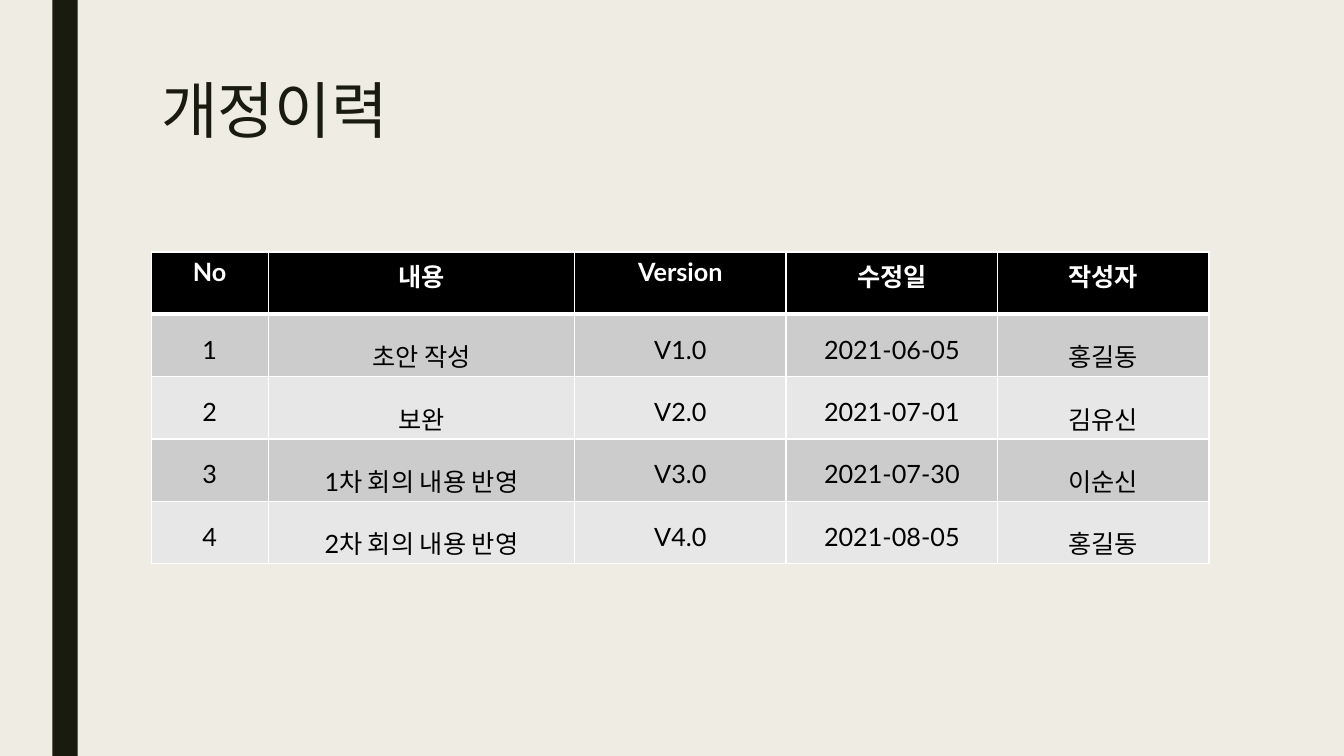
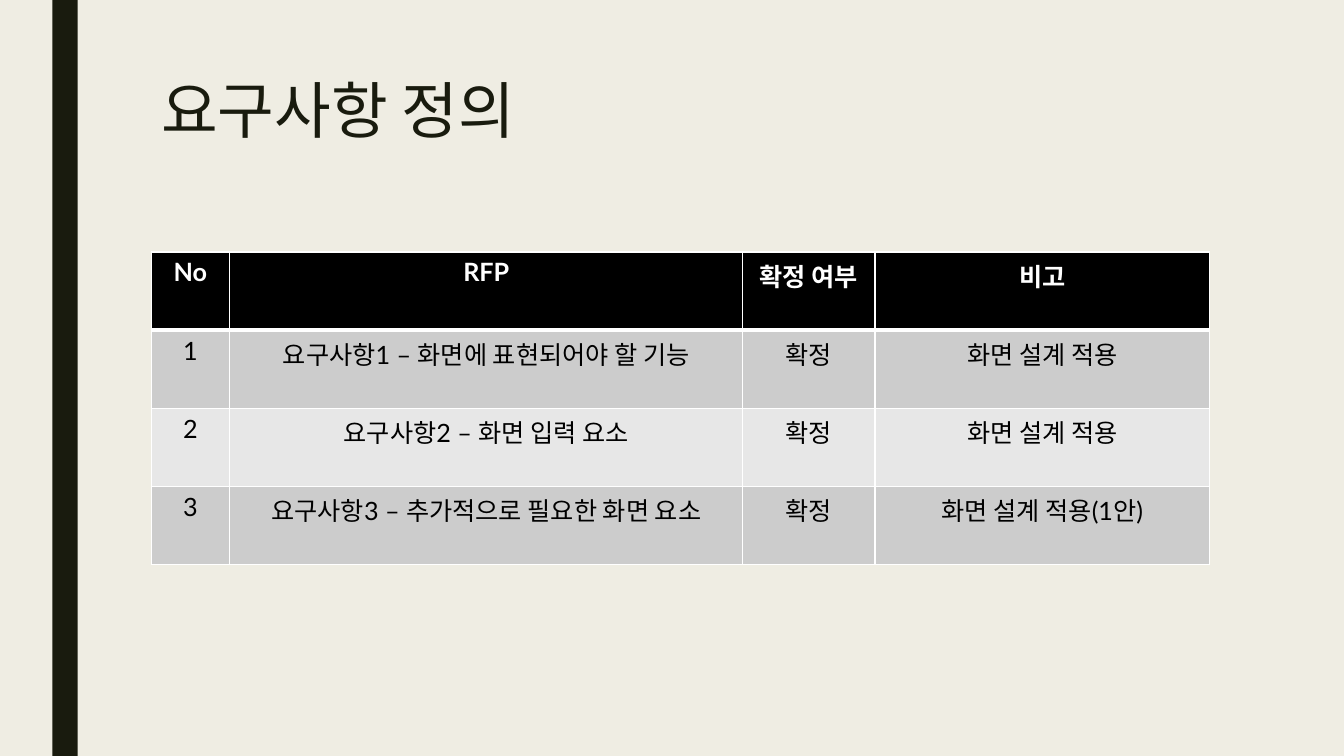
from dataclasses import dataclass

from lxml import etree
from pptx import Presentation
from pptx import slide as sl
from pptx import table as tb
from pptx import util as u
from pptx.dml import color
from pptx.enum import shapes, text
from pptx.oxml import ns
from pptx.text import text as tx

CREAM = color.RGBColor(0xEF, 0xED, 0xE3)
DARK_OLIVE = color.RGBColor(0x19, 0x1B, 0x0E)
BLACK = color.RGBColor(0x00, 0x00, 0x00)
WHITE = color.RGBColor(0xFF, 0xFF, 0xFF)
BAND_GREYS = (color.RGBColor(0xCC, 0xCC, 0xCC), color.RGBColor(0xE7, 0xE7, 0xE7))

FONT = "Lato"
SLIDE_WIDTH = u.Cm(33.87)
SLIDE_HEIGHT = u.Cm(19.05)
CONTENT_LEFT = u.Cm(3.81)
CONTENT_WIDTH = u.Cm(26.67)
THIN_RULE = u.Pt(1)
HEADER_RULE = u.Pt(3)


@dataclass(frozen=True)
class TablePage:
    title: str
    column_cm: tuple[float, ...]
    row_cm: float
    body_spacing: float
    header: tuple[str, ...]
    body: tuple[tuple[str, ...], ...]


PAGES = (
    TablePage(
        title="개정이력",
        column_cm=(2.95, 7.72, 5.33, 5.33, 5.33),
        row_cm=1.57,
        body_spacing=1.5,
        header=("No", "내용", "Version", "수정일", "작성자"),
        body=(
            ("1", "초안 작성", "V1.0", "2021-06-05", "홍길동"),
            ("2", "보완", "V2.0", "2021-07-01", "김유신"),
            ("3", "1차 회의 내용 반영", "V3.0", "2021-07-30", "이순신"),
            ("4", "2차 회의 내용 반영", "V4.0", "2021-08-05", "홍길동"),
        ),
    ),
    TablePage(
        title="요구사항 정의",
        column_cm=(1.98, 12.93, 3.33, 8.43),
        row_cm=1.97,
        body_spacing=1.0,
        header=("No", "RFP", "확정 여부", "비고"),
        body=(
            ("1", "요구사항1 – 화면에 표현되어야 할 기능", "확정", "화면 설계 적용"),
            ("2", "요구사항2 – 화면 입력 요소", "확정", "화면 설계 적용"),
            ("3", "요구사항3 – 추가적으로 필요한 화면 요소", "확정", "화면 설계 적용(1안)"),
        ),
    ),
)


def add_run(paragraph: tx._Paragraph, words: str, size: int,
            ink: color.RGBColor, bold: bool = False) -> None:
    run = paragraph.add_run()
    run.text = words
    run.font.name = FONT
    run.font.size = u.Pt(size)
    run.font.bold = bold
    run.font.color.rgb = ink


def add_side_band(slide: sl.Slide) -> None:
    band = slide.shapes.add_shape(
        shapes.MSO_SHAPE.RECTANGLE, u.Cm(1.32), 0, u.Cm(0.64), SLIDE_HEIGHT)
    band.shadow.inherit = False
    band.fill.solid()
    band.fill.fore_color.rgb = DARK_OLIVE
    band.line.fill.background()


def add_title(slide: sl.Slide, words: str) -> None:
    frame = slide.shapes.add_textbox(
        CONTENT_LEFT, u.Cm(1.91), CONTENT_WIDTH, u.Cm(4.11)).text_frame
    frame.word_wrap = True
    frame.vertical_anchor = text.MSO_ANCHOR.TOP
    heading = frame.paragraphs[0]
    heading.line_spacing = 0.89
    add_run(heading, words, 44, DARK_OLIVE)


def add_borders(cell: tb._Cell, top: u.Length, bottom: u.Length) -> None:
    properties = cell._tc.get_or_add_tcPr()
    rules = {"lnL": THIN_RULE, "lnR": THIN_RULE, "lnT": top, "lnB": bottom}
    for edge, width in rules.items():
        line = etree.SubElement(properties, ns.qn(f"a:{edge}"), w=str(int(width)))
        paint = etree.SubElement(line, ns.qn("a:solidFill"))
        etree.SubElement(paint, ns.qn("a:srgbClr"), val=str(WHITE))


def fill_cell(cell: tb._Cell, words: str, row: int, body_spacing: float) -> None:
    is_header = row == 0
    add_borders(cell,
                top=HEADER_RULE if row == 1 else THIN_RULE,
                bottom=HEADER_RULE if is_header else THIN_RULE)
    cell.fill.solid()
    cell.fill.fore_color.rgb = BLACK if is_header else BAND_GREYS[(row - 1) % 2]
    entry = cell.text_frame.paragraphs[0]
    entry.alignment = text.PP_ALIGN.CENTER
    entry.line_spacing = 1.0 if is_header else body_spacing
    add_run(entry, words, 18, WHITE if is_header else BLACK, bold=is_header)


def add_grid(slide: sl.Slide, page: TablePage) -> None:
    entries = (page.header, *page.body)
    grid = slide.shapes.add_table(
        len(entries), len(page.header), CONTENT_LEFT, u.Cm(6.35),
        CONTENT_WIDTH, u.Cm(page.row_cm * len(entries))).table
    for column, width in zip(grid.columns, page.column_cm):
        column.width = u.Cm(width)
    for row, words_in_row in enumerate(entries):
        grid.rows[row].height = u.Cm(page.row_cm)
        for column, words in enumerate(words_in_row):
            fill_cell(grid.cell(row, column), words, row, page.body_spacing)


def main() -> None:
    deck = Presentation()
    deck.slide_width = SLIDE_WIDTH
    deck.slide_height = SLIDE_HEIGHT
    backdrop = deck.slide_master.background.fill
    backdrop.solid()
    backdrop.fore_color.rgb = CREAM
    for page in PAGES:
        slide = deck.slides.add_slide(deck.slide_layouts[6])
        add_side_band(slide)
        add_title(slide, page.title)
        add_grid(slide, page)
    deck.save("out.pptx")


main()
